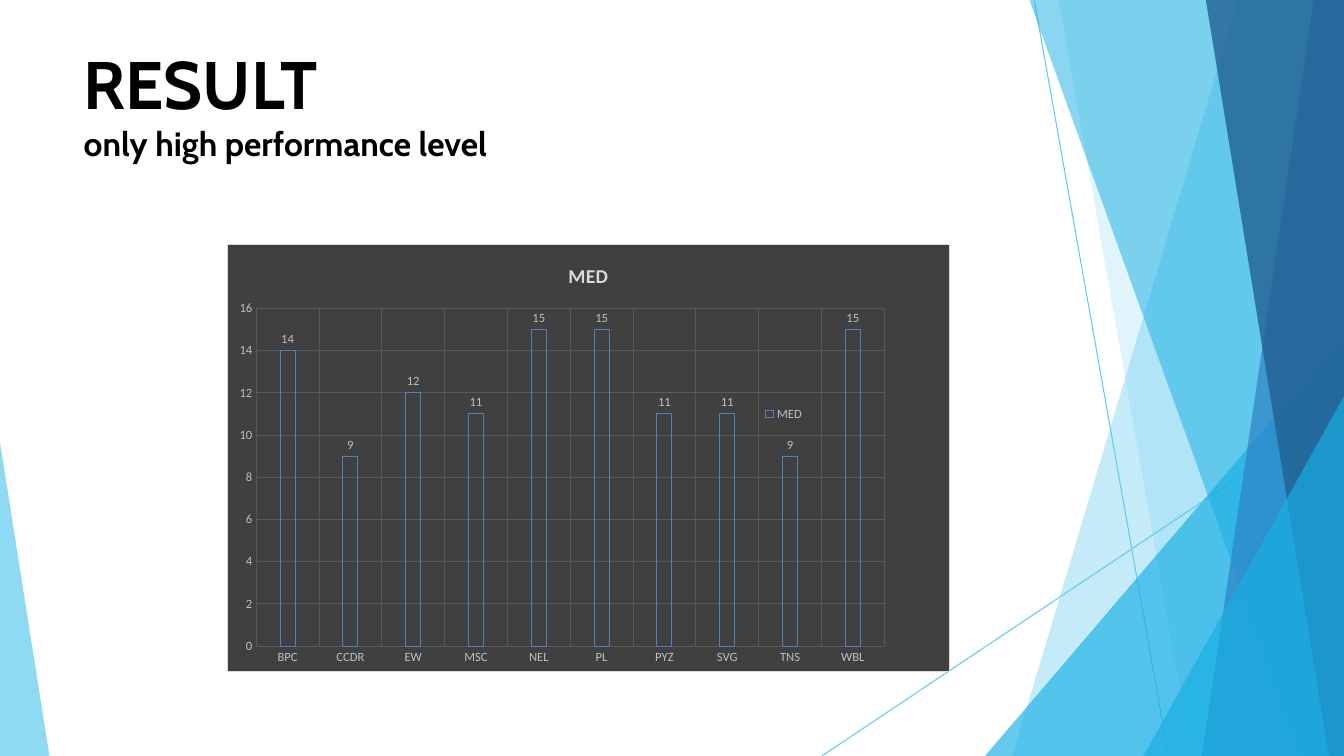
"""Build the RESULT slide: high performance level counts in a dark column chart."""
from lxml import etree
from pptx import Presentation
from pptx.chart.data import CategoryChartData
from pptx.dml.color import RGBColor
from pptx.enum.chart import XL_CHART_TYPE as ChartType
from pptx.enum.chart import XL_LABEL_POSITION as LabelPosition
from pptx.enum.chart import XL_LEGEND_POSITION as LegendPosition
from pptx.enum.chart import XL_TICK_MARK as TickMark
from pptx.enum.shapes import MSO_CONNECTOR as Connector
from pptx.oxml import parse_xml
from pptx.oxml.ns import nsdecls, qn
from pptx.util import Inches, Pt

COLORS = {
    "sky": "5FCAEE", "cyan": "17AFE3", "blue": "2D83C3", "navy": "226192",
    "black": "000000", "panel": "404040", "grid": "595959",
    "label": "BFBFBF", "title": "D9D9D9", "bar": "4F81BD",
}
WIDTH, HEIGHT = 13.33, 7.5


def style_font(font, size, color, name="Calibri", bold=False):
    font.name, font.size, font.bold = name, Pt(size), bold
    font.color.rgb = RGBColor.from_string(COLORS[color])


def manual_layout(inner, **fractions):
    target = '<c:layoutTarget val="inner"/>' if inner else ""
    modes = '<c:xMode val="edge"/><c:yMode val="edge"/>'
    places = "".join(f'<c:{key} val="{value}"/>' for key, value in fractions.items())
    return parse_xml(f'<c:layout {nsdecls("c")}><c:manualLayout>{target}{modes}{places}'
                     '</c:manualLayout></c:layout>')


deck = Presentation()
deck.slide_width, deck.slide_height = Inches(WIDTH), Inches(HEIGHT)
page = deck.slides.add_slide(deck.slide_layouts[6])

for start_x, start_y, end_x, end_y in [(10.26, 0.01, 11.59, HEIGHT), (WIDTH, 4.04, 8.15, HEIGHT)]:
    ray = page.shapes.add_connector(Connector.STRAIGHT, Inches(start_x), Inches(start_y),
                                    Inches(end_x), Inches(end_y))
    ray.line.color.rgb = RGBColor.from_string(COLORS["sky"])
    ray.line.width = Pt(0.75)
    etree.SubElement(ray._element.spPr, qn("a:effectLst"))

top_right, bottom_right = (WIDTH, 0), (WIDTH, HEIGHT)
facets = [
    ("sky", 36, [top_right, (12.28, 0), (10.04, HEIGHT), bottom_right]),
    ("sky", 20, [top_right, (10.5, 0), (11.82, HEIGHT), bottom_right]),
    ("cyan", 66, [(WIDTH, 3.33), (9.77, HEIGHT), bottom_right]),
    ("cyan", 50, [top_right, (10.21, 0), (12.91, HEIGHT), bottom_right]),
    ("blue", 70, [top_right, (13.03, 0), (11.92, HEIGHT), bottom_right]),
    ("navy", 80, [top_right, (11.96, 0), (13.18, HEIGHT), bottom_right]),
    ("cyan", 66, [(WIDTH, 3.93), (11.34, HEIGHT), bottom_right]),
    ("sky", 70, [(0, 4.39), (0, HEIGHT), (0.49, HEIGHT)]),
]
for color, opacity, corners in facets:
    points = [(Inches(x), Inches(y)) for x, y in corners]
    outline = page.shapes.build_freeform(*points[0])
    outline.add_line_segments(points[1:], close=True)
    facet = outline.convert_to_shape()
    facet.shadow.inherit = False
    facet.line.fill.background()
    facet.fill.solid()
    facet.fill.fore_color.rgb = RGBColor.from_string(COLORS[color])
    tint = facet._element.spPr.find(".//" + qn("a:srgbClr"))
    etree.SubElement(tint, qn("a:alpha"), val=str(opacity * 1000))

box = page.shapes.add_textbox(Inches(0.83), Inches(0.42), Inches(11.68), Inches(1.21))
frame = box.text_frame
frame.word_wrap = True
frame.margin_left = frame.margin_right = frame.margin_top = frame.margin_bottom = 0
para = frame.paragraphs[0]
span = para.add_run()
span.text = "RESULT"
style_font(span.font, 48, "black", "Cabin", True)
para.add_line_break()
span = para.add_run()
span.text = "only high performance level"
style_font(span.font, 24, "black", "Cabin", True)

results = CategoryChartData()
results.categories = ["BPC", "CCDR", "EW", "MSC", "NEL", "PL", "PYZ", "SVG", "TNS", "WBL"]
results.add_series("MED", [14, 9, 12, 11, 15, 15, 11, 11, 9, 15])
chart = page.shapes.add_chart(ChartType.COLUMN_CLUSTERED, Inches(2.25), Inches(2.42),
                              Inches(7.17), Inches(4.25), results).chart
style_font(chart.font, 10, "black")

chart.has_title = True
span = chart.chart_title.text_frame.paragraphs[0].add_run()
span.text = "MED"
style_font(span.font, 14, "title", bold=True)
chart.chart_title.include_in_layout = False

chart.has_legend = True
chart.legend.position = LegendPosition.RIGHT
chart.legend.include_in_layout = False
style_font(chart.legend.font, 9, "label")

for axis in (chart.category_axis, chart.value_axis):
    axis.major_tick_mark = axis.minor_tick_mark = TickMark.NONE
    axis.format.line.fill.background()
    axis.has_major_gridlines = True
    grid = axis.major_gridlines.format.line
    grid.color.rgb = RGBColor.from_string(COLORS["grid"])
    grid.width = Pt(0.75)
    style_font(axis.tick_labels.font, 9, "label")
chart.value_axis.minimum_scale, chart.value_axis.maximum_scale = 0, 16
chart.value_axis.major_unit = 2

plot = chart.plots[0]
plot.gap_width, plot.overlap, plot.vary_by_categories = 315, -40, False
plot.has_data_labels = True
plot.data_labels.show_value = True
plot.data_labels.position = LabelPosition.OUTSIDE_END
style_font(plot.data_labels.font, 9, "label")
bars = plot.series[0].format
bars.fill.background()
bars.line.color.rgb = RGBColor.from_string(COLORS["bar"])
bars.line.width = Pt(0.75)

chart_space = chart._chartSpace
for holder in (chart_space.find(".//" + qn("c:plotArea")), chart.legend._element):
    for layout in holder.findall(qn("c:layout")):
        holder.remove(layout)
chart_space.find(".//" + qn("c:plotArea")).insert(
    0, manual_layout(True, x=0.04, y=0.15, w=0.87, h=0.79))
chart.legend._element.find(qn("c:legendPos")).addnext(manual_layout(False, x=0.74, y=0.37))
chart_space.find(qn("c:chart")).addnext(parse_xml(
    f'<c:spPr {nsdecls("c", "a")}>'
    f'<a:solidFill><a:srgbClr val="{COLORS["panel"]}"/></a:solidFill>'
    f'<a:ln w="{Pt(0.75)}"><a:solidFill><a:srgbClr val="{COLORS["title"]}"/></a:solidFill></a:ln>'
    '</c:spPr>'))

deck.save("out.pptx")
